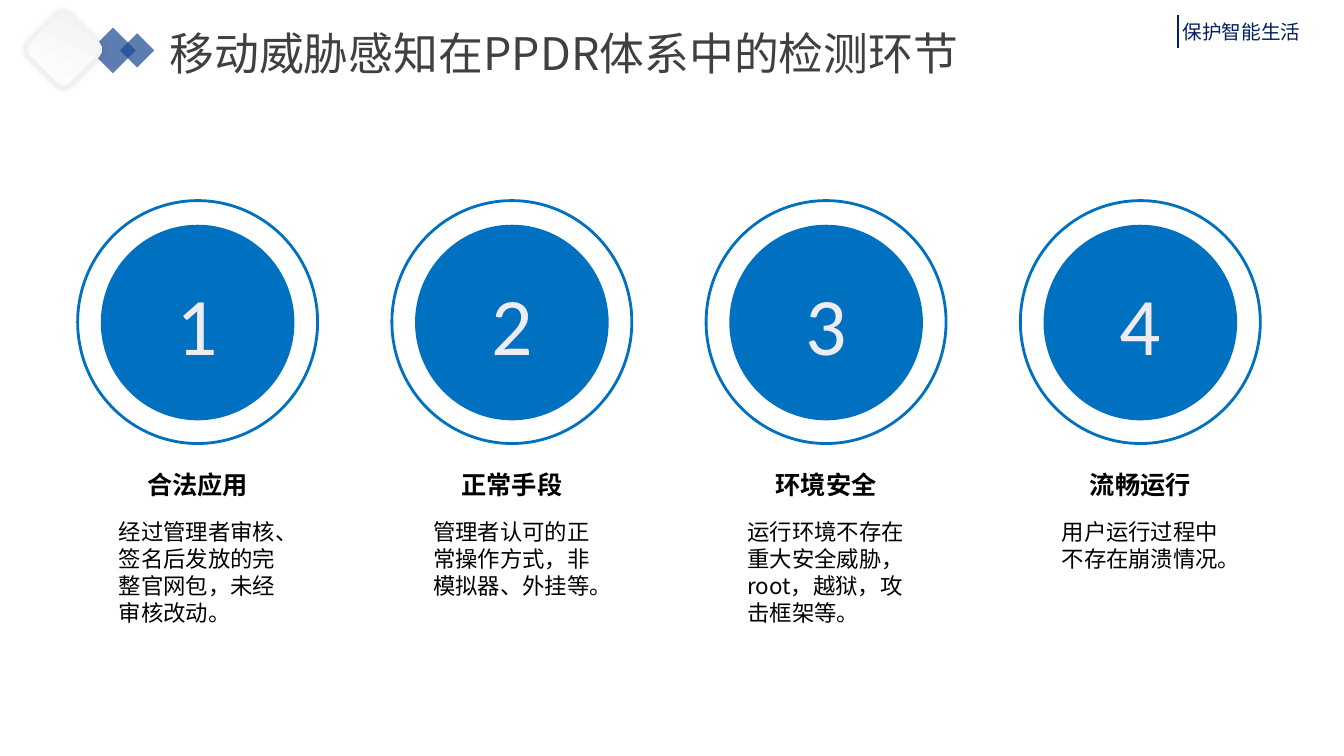
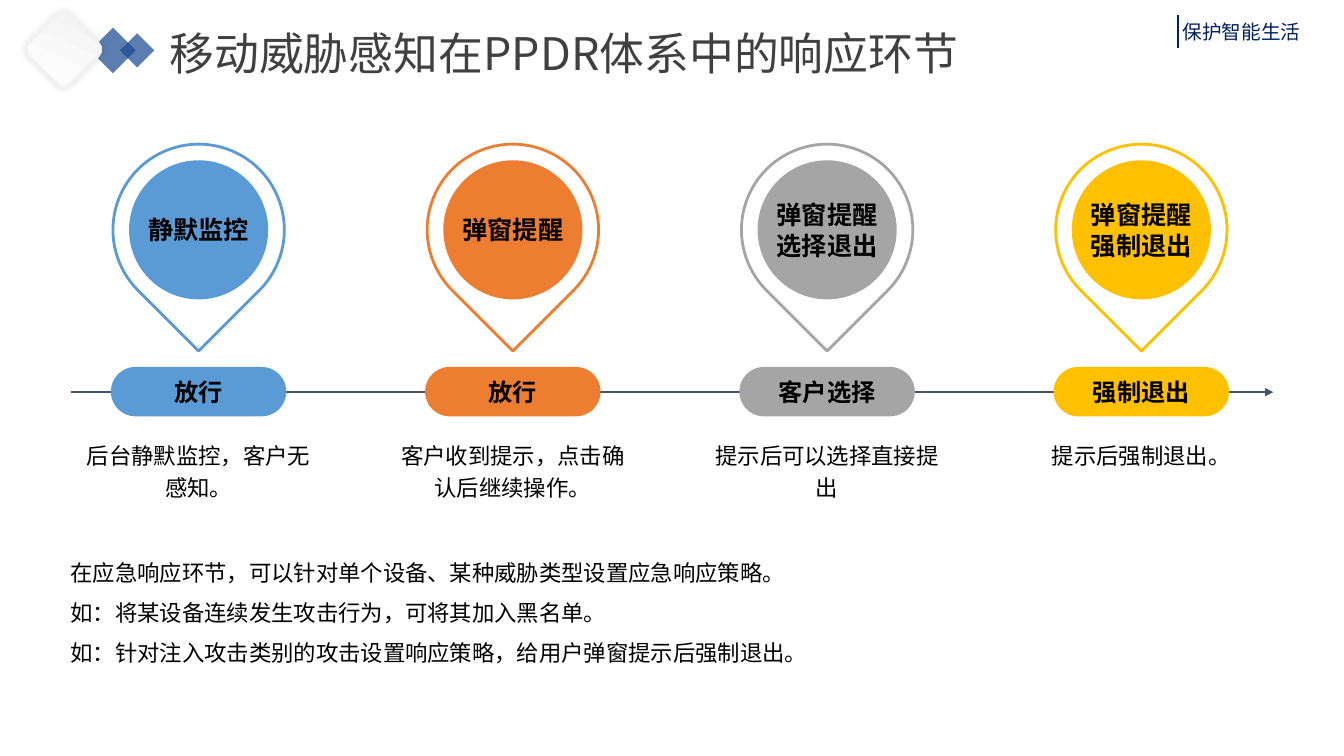
from lxml import etree
from pptx import Presentation
from pptx.dml.color import RGBColor
from pptx.enum.shapes import MSO_CONNECTOR, MSO_SHAPE
from pptx.enum.text import MSO_ANCHOR, MSO_AUTO_SIZE, PP_ALIGN
from pptx.oxml.ns import qn
from pptx.util import Inches, Pt

RECTANGLE = MSO_SHAPE.RECTANGLE
ROUNDED = MSO_SHAPE.ROUNDED_RECTANGLE
OVAL = MSO_SHAPE.OVAL
TEAR = MSO_SHAPE.TEAR
STRAIGHT = MSO_CONNECTOR.STRAIGHT
TOP, MIDDLE = MSO_ANCHOR.TOP, MSO_ANCHOR.MIDDLE
LEFT, CENTER = PP_ALIGN.LEFT, PP_ALIGN.CENTER
NO_AUTOFIT = MSO_AUTO_SIZE.NONE

SANS = "Noto Sans CJK SC"
LATIN = "Calibri"
BLACK, WHITE, PALE = "000000", "FFFFFF", "F2F2F2"
TITLE_GRAY, NAVY, DIAMOND_BLUE = "404040", "002060", "18478F"
BLUE, NUMBER_PALE, AXIS_GRAY = "0070C0", "EEECF0", "44546A"

TITLE_ONLY = 5
COLUMN_PITCH = 9.35 / 3
TIGHT = (0.02, 0.02)
NORMAL = (0.1, 0.05)
FLUSH = (0, 0)

CHECKS = [
    ("合法应用", "经过管理者审核、签名后发放的完整官网包，未经审核改动。"),
    ("正常手段", "管理者认可的正常操作方式，非模拟器、外挂等。"),
    ("环境安全", "运行环境不存在重大安全威胁，root，越狱，攻击框架等。"),
    ("流畅运行", "用户运行过程中不存在崩溃情况。"),
]
RESPONSES = [
    ("静默监控", "放行", "后台静默监控，客户无感知。", "5B9BD5"),
    ("弹窗提醒", "放行", "客户收到提示，点击确认后继续操作。", "ED7D31"),
    ("弹窗提醒\n选择退出", "客户选择", "提示后可以选择直接提出", "A5A5A5"),
    ("弹窗提醒\n强制退出", "强制退出", "提示后强制退出。", "FFC000"),
]
STRATEGY = (
    "在应急响应环节，可以针对单个设备、某种威胁类型设置应急响应策略。\n"
    "如：将某设备连续发生攻击行为，可将其加入黑名单。\n"
    "如：针对注入攻击类别的攻击设置响应策略，给用户弹窗提示后强制退出。"
)


def color(value):
    return RGBColor.from_string(value)


def add_element(parent, tag, **attributes):
    return etree.SubElement(parent, qn(tag), attributes)


def set_alpha(parent, percent):
    color_element = next(parent.iter(qn("a:srgbClr")))
    add_element(color_element, "a:alpha", val=str(percent * 1000))


def column_centers(first, items):
    return [(first + index * COLUMN_PITCH, item) for index, item in enumerate(items)]


class Deck:
    def __init__(self):
        self.presentation = Presentation()
        self.presentation.slide_width = Inches(13.33)
        self.presentation.slide_height = Inches(7.5)
        self.slide = None

    def start_slide(self, title):
        layout = self.presentation.slide_layouts[TITLE_ONLY]
        self.slide = self.presentation.slides.add_slide(layout)
        self.header()
        self.title(title)

    def header(self):
        for left, top, size in ((0.96, 0.34, 0.32), (1.24, 0.38, 0.24)):
            diamond = self.shape(RECTANGLE, left, top, size, size, DIAMOND_BLUE)
            diamond.rotation = 225
            set_alpha(diamond._element.spPr, 70)
        self.light_tile()
        self.text("保护智能生活", 11.63, 0.15, 1.39, 0.34, 14, NAVY)
        self.line(11.68, 0.15, 11.68, 0.48, NAVY)

    def light_tile(self):
        tile = self.shape(ROUNDED, 0.34, 0.2, 0.58, 0.58, outline=PALE)
        tile.rotation = 45
        tile.fill.gradient()
        tile.fill.gradient_angle = 110
        for stop, value in zip(tile.fill.gradient_stops, (WHITE, PALE)):
            stop.color.rgb = color(value)
        effects = tile._element.spPr.find(qn("a:effectLst"))
        shadow = add_element(effects, "a:outerShdw", blurRad=str(Pt(5)), dist="0", dir="0")
        add_element(shadow, "a:srgbClr", val=BLACK)
        set_alpha(shadow, 11)

    def title(self, text):
        shape = self.slide.shapes.title
        shape.left, shape.top = Inches(1.58), Inches(0.15)
        shape.width, shape.height = Inches(8.87), Inches(0.82)
        shape.text_frame.auto_size = NO_AUTOFIT
        self.fill_text(shape, text, 32, TITLE_GRAY, anchor=MIDDLE, spacing=0.9)

    def fill_text(self, shape, text, size, text_color, font=SANS, bold=False,
                  align=LEFT, anchor=TOP, margins=NORMAL, spacing=1.0, wrap=True):
        frame = shape.text_frame
        frame.text = text
        frame.word_wrap = wrap
        frame.vertical_anchor = anchor
        frame.margin_left = frame.margin_right = Inches(margins[0])
        frame.margin_top = frame.margin_bottom = Inches(margins[1])
        for paragraph in frame.paragraphs:
            paragraph.alignment = align
            paragraph.line_spacing = spacing
            for run in paragraph.runs:
                run.font.size = Pt(size)
                run.font.bold = bold
                run.font.color.rgb = color(text_color)
                run.font.name = font
                add_element(run._r.get_or_add_rPr(), "a:ea", typeface=SANS)

    def text(self, text, left, top, width, height, size, text_color=BLACK, **style):
        box = self.slide.shapes.add_textbox(
            Inches(left), Inches(top), Inches(width), Inches(height))
        self.fill_text(box, text, size, text_color, **style)

    def shape(self, kind, left, top, width, height, fill=None, outline=None):
        shape = self.slide.shapes.add_shape(
            kind, Inches(left), Inches(top), Inches(width), Inches(height))
        shape.shadow.inherit = False
        if fill:
            shape.fill.solid()
            shape.fill.fore_color.rgb = color(fill)
        else:
            shape.fill.background()
        if outline:
            shape.line.color.rgb = color(outline)
            shape.line.width = Pt(2)
        else:
            shape.line.fill.background()
        return shape

    def label(self, shape, text, size, text_color=BLACK, bold=True):
        self.fill_text(shape, text, size, text_color, font=LATIN, bold=bold,
                       align=CENTER, anchor=MIDDLE, wrap=False)

    def line(self, start_x, start_y, end_x, end_y, line_color, arrow=False):
        connector = self.slide.shapes.add_connector(
            STRAIGHT, Inches(start_x), Inches(start_y), Inches(end_x), Inches(end_y))
        connector.line.color.rgb = color(line_color)
        connector.line.width = Pt(1.5)
        if arrow:
            line_element = connector._element.spPr.find(qn("a:ln"))
            add_element(line_element, "a:tailEnd", type="triangle")
        add_element(connector._element.spPr, "a:effectLst")

    def numbered_check(self, center, number, heading, description):
        self.shape(OVAL, center - 1.19, 1.99, 2.38, 2.41, outline=BLUE)
        disc = self.shape(OVAL, center - 0.96, 2.23, 1.92, 1.94, BLUE)
        self.label(disc, str(number), 58.3, NUMBER_PALE, bold=False)
        self.text(heading, center - 0.55, 4.63, 1.1, 0.35, 18, bold=True,
                  align=CENTER, anchor=MIDDLE, margins=TIGHT, wrap=False)
        self.text(description, center - 0.8, 5.12, 1.62, 1.12, 16, margins=TIGHT)

    def response_pin(self, center, action, result, description, accent):
        pin = self.shape(TEAR, center - 0.85, 1.43, 1.7, 1.7, WHITE, accent)
        pin.rotation = 135
        disc = self.shape(OVAL, center - 0.69, 1.59, 1.38, 1.38, accent)
        self.label(disc, action, 18)
        pill = self.shape(ROUNDED, center - 0.87, 3.64, 1.74, 0.49, accent)
        pill.adjustments[0] = 0.5
        self.label(pill, result, 17.3)
        self.text(description, center - 1.24, 4.28, 2.48, 0.63, 16,
                  align=CENTER, spacing=1.2)


def main():
    deck = Deck()

    deck.start_slide("移动威胁感知在PPDR体系中的检测环节")
    for number, (center, check) in enumerate(column_centers(1.96, CHECKS), 1):
        deck.numbered_check(center, number, *check)

    deck.start_slide("移动威胁感知在PPDR体系中的响应环节")
    deck.line(0.7, 3.89, 12.63, 3.89, AXIS_GRAY, arrow=True)
    for center, response in column_centers(1.97, RESPONSES):
        deck.response_pin(center, *response)
    deck.text(STRATEGY, 0.7, 5.41, 8.24, 1.27, 16, margins=FLUSH, spacing=1.5)

    deck.presentation.save("out.pptx")


if __name__ == "__main__":
    main()
